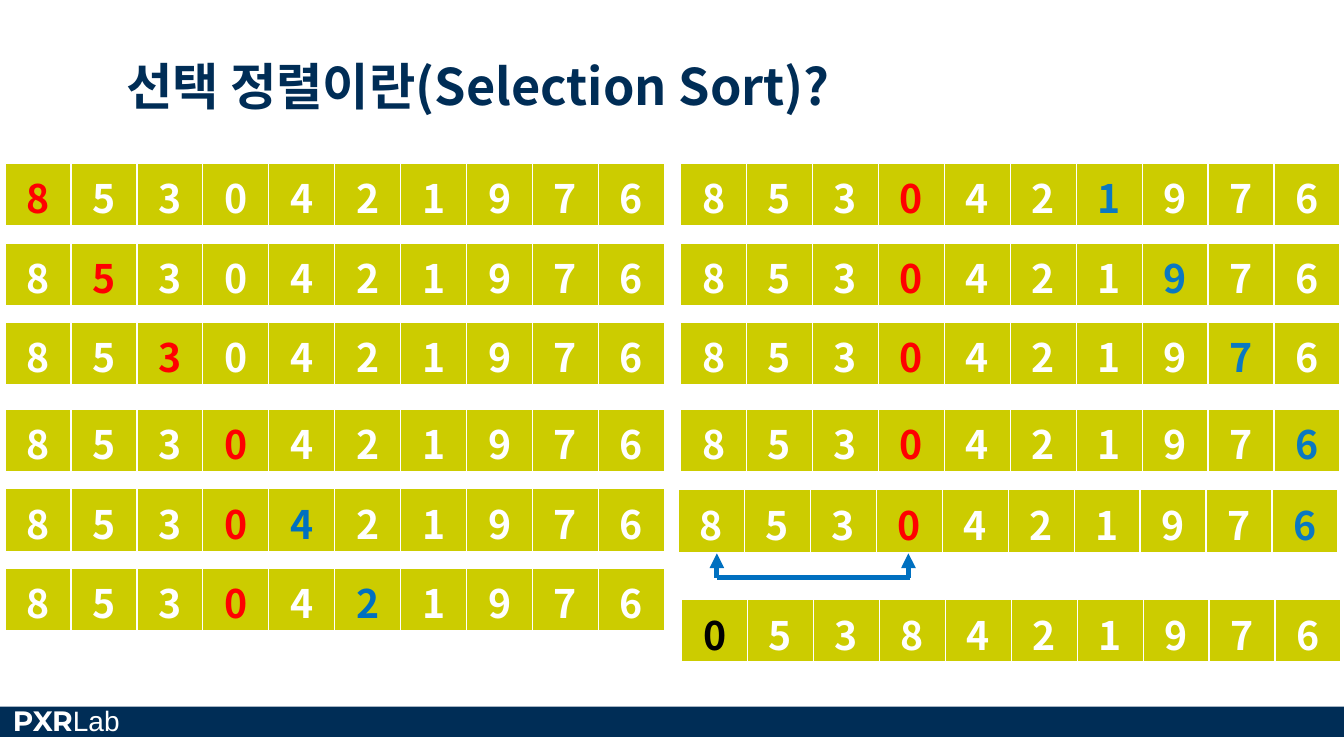
from dataclasses import dataclass

from lxml import etree
from pptx import Presentation
from pptx.dml.color import RGBColor
from pptx.enum.shapes import MSO_CONNECTOR, MSO_SHAPE
from pptx.enum.text import MSO_ANCHOR, PP_ALIGN
from pptx.oxml.ns import qn
from pptx.util import Inches, Pt

STRAIGHT, RECTANGLE = MSO_CONNECTOR.STRAIGHT, MSO_SHAPE.RECTANGLE
LEFT, CENTER, BOTTOM = PP_ALIGN.LEFT, PP_ALIGN.CENTER, MSO_ANCHOR.BOTTOM


@dataclass(frozen=True)
class Theme:
    navy: str = "002D56"
    olive: str = "CCCC00"
    white: str = "FFFFFF"
    black: str = "000000"
    minimum: str = "FF0000"
    compared: str = "0070C0"
    compared_right: str = "0A78C2"
    arrow: str = "0070C0"
    font: str = "Noto Sans CJK KR"
    brand_font: str = "Montserrat"
    brand_light_font: str = "Arial"
    title_size: int = 36
    digit_size: int = 28
    brand_size: int = 20
    arrow_width: float = 3.5


THEME = Theme()
TITLE = "선택 정렬이란(Selection Sort)?"
BRAND = [("PXR", THEME.brand_font, True), ("Lab", THEME.brand_light_font, False)]
START = "8530421976"
SWAPPED = "0538421976"
RED, BLUE, BLUE_RIGHT = THEME.minimum, THEME.compared, THEME.compared_right

# Each step: digits, then the colour of each highlighted position
LEFT_STEPS = [
    (START, {0: RED}),
    (START, {1: RED}),
    (START, {2: RED}),
    (START, {3: RED}),
    (START, {3: RED, 4: BLUE}),
    (START, {3: RED, 5: BLUE}),
]
RIGHT_STEPS = [(START, {3: RED, place: BLUE_RIGHT}) for place in range(6, 10)]
SWAP_STEP = (START, {3: RED, 9: BLUE_RIGHT})
RESULT_STEP = (SWAPPED, {0: THEME.black})

LEFT_COLUMN, RIGHT_COLUMN = 0.05, 6.75
FIRST_TOPS = (1.62, 4.06)
STEPS_PER_BLOCK, STEP_PITCH = 3, 0.79
ROW_WIDTH, ROW_HEIGHT = 6.54, 0.63
BORDERS = (("lnL", 1), ("lnR", 1), ("lnT", 1), ("lnB", 3))
SWAP_ARROW_X, SWAP_END = (7.11, 9.01), 9.03
SWAP_TOP, SWAP_BASE = 5.49, 5.73


def add_span(para, text, size, color, font, bold):
    span = para.add_run()
    span.text = text
    span.font.size = Pt(size)
    span.font.bold = bold
    span.font.name = font
    span.font.color.rgb = RGBColor.from_string(color)
    east_asian = etree.SubElement(span.font._element, qn("a:ea"))
    east_asian.set("typeface", font)


def set_borders(cell):
    properties = cell._tc.get_or_add_tcPr()
    for position, (side, width) in enumerate(BORDERS):
        line = etree.Element(qn(f"a:{side}"), w=str(Pt(width)))
        fill = etree.SubElement(line, qn("a:solidFill"))
        etree.SubElement(fill, qn("a:srgbClr"), val=THEME.white)
        properties.insert(position, line)


def add_step(page, left, top, step):
    digits, highlights = step
    frame = page.shapes.add_table(1, len(digits), Inches(left), Inches(top),
                                  Inches(ROW_WIDTH), Inches(ROW_HEIGHT))
    table = frame.table
    table.first_row = table.horz_banding = False
    for place, digit in enumerate(digits):
        cell = table.cell(0, place)
        cell.fill.solid()
        cell.fill.fore_color.rgb = RGBColor.from_string(THEME.olive)
        set_borders(cell)
        para = cell.text_frame.paragraphs[0]
        para.alignment = CENTER
        color = highlights.get(place, THEME.white)
        add_span(para, digit, THEME.digit_size, color, THEME.font, True)


def add_steps(page, left, steps):
    for number, step in enumerate(steps):
        block, row = divmod(number, STEPS_PER_BLOCK)
        add_step(page, left, FIRST_TOPS[block] + row * STEP_PITCH, step)


def add_line(shapes, start, end, arrowhead=False):
    points = [Inches(value) for value in (*start, *end)]
    connector = shapes.add_connector(STRAIGHT, *points)
    connector.line.color.rgb = RGBColor.from_string(THEME.arrow)
    connector.line.width = Pt(THEME.arrow_width)
    if arrowhead:
        outline = connector.line._get_or_add_ln()
        etree.SubElement(outline, qn("a:tailEnd"), type="triangle")
    etree.SubElement(connector._element.spPr, qn("a:effectLst"))


def add_swap_arrows(page):
    shapes = page.shapes.add_group_shape().shapes
    for x in SWAP_ARROW_X:
        add_line(shapes, (x, SWAP_BASE), (x, SWAP_TOP), arrowhead=True)
    add_line(shapes, (SWAP_END, SWAP_BASE), (SWAP_ARROW_X[0], SWAP_BASE))


def add_footer(page, width):
    bar = page.shapes.add_shape(RECTANGLE, 0, Inches(7.01), width, Inches(0.3))
    bar.shadow.inherit = False
    bar.fill.solid()
    bar.fill.fore_color.rgb = RGBColor.from_string(THEME.navy)
    bar.line.fill.background()
    box = page.shapes.add_textbox(Inches(0.03), Inches(6.93), Inches(1.52), Inches(0.44))
    box.text_frame.word_wrap = True
    para = box.text_frame.paragraphs[0]
    for text, font, bold in BRAND:
        add_span(para, text, THEME.brand_size, THEME.white, font, bold)


def set_title(page):
    title = page.shapes.title
    title.left, title.top = Inches(1.15), Inches(0.13)
    title.width, title.height = Inches(10.42), Inches(1.08)
    title.text_frame.vertical_anchor = BOTTOM
    para = title.text_frame.paragraphs[0]
    para.alignment = LEFT
    para.line_spacing = 0.9
    add_span(para, TITLE, THEME.title_size, THEME.navy, THEME.font, True)


def main():
    deck = Presentation()
    deck.slide_width, deck.slide_height = Inches(13.33), Inches(7.5)
    page = deck.slides.add_slide(deck.slide_layouts[5])
    add_footer(page, deck.slide_width)
    set_title(page)
    add_steps(page, LEFT_COLUMN, LEFT_STEPS)
    add_steps(page, RIGHT_COLUMN, RIGHT_STEPS)
    add_step(page, 6.73, 4.86, SWAP_STEP)
    add_swap_arrows(page)
    add_step(page, 6.76, 5.95, RESULT_STEP)
    deck.save("out.pptx")


if __name__ == "__main__":
    main()
